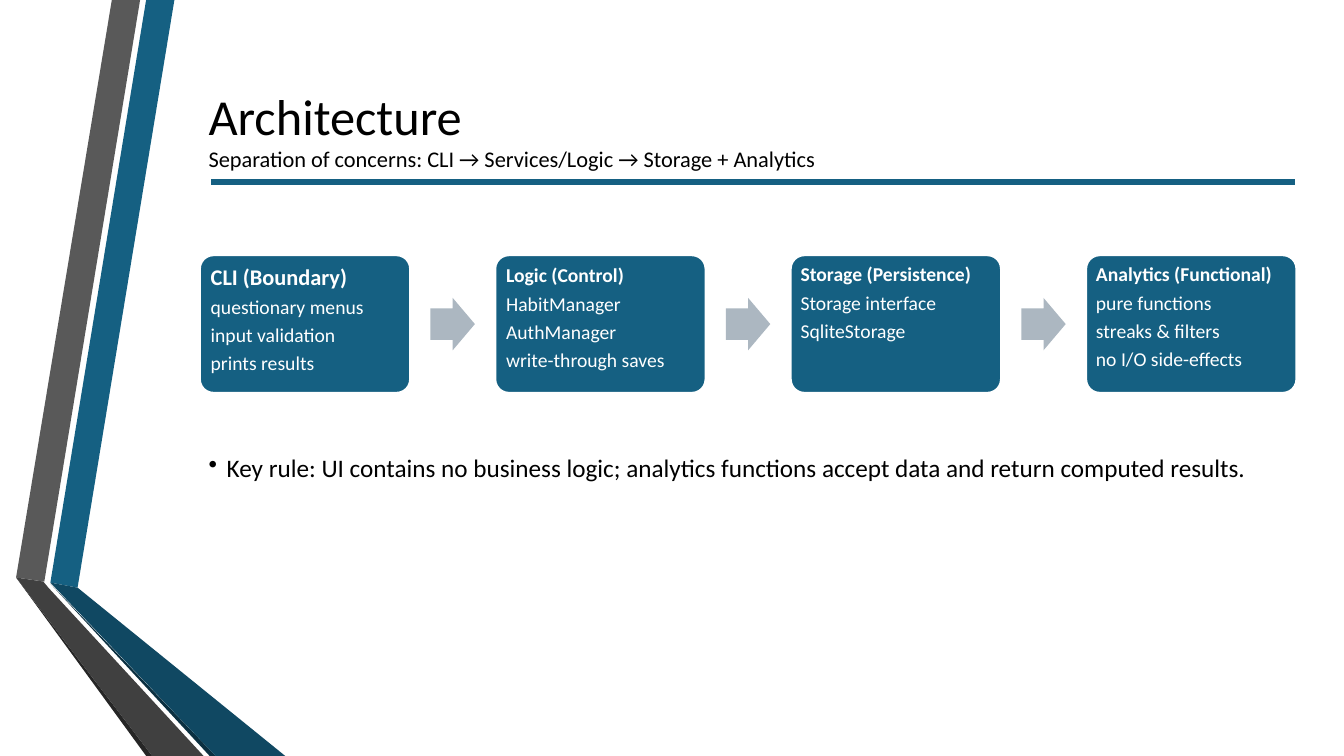
from lxml.etree import SubElement
from pptx import Presentation
from pptx.dml.color import RGBColor
from pptx.enum.shapes import MSO_SHAPE
from pptx.enum.text import MSO_ANCHOR, PP_ALIGN
from pptx.oxml.ns import qn
from pptx.util import Inches, Pt

FONT = "Calibri"
BLUE, WHITE, BLACK, ARROW_GREY = "156082", "FFFFFF", "000000", "ACB7C1"

RIBBONS = [
    (BLUE, [(0.5, 5.78), (0.77, 5.83), (1.73, 0), (1.45, 0)]),
    ("595959", [(1.39, 0), (1.11, 0), (0.16, 5.73), (0.44, 5.77)]),
    ("262626", [(0.16, 5.73), (1.45, 7.5), (1.51, 7.5)]),
    ("0B3041", [(0.5, 5.79), (2.08, 7.5), (2.14, 7.5)]),
    ("104862", [(0.5, 5.78), (2.14, 7.5), (2.83, 7.5), (0.77, 5.83)]),
    ("404040", [(2.02, 7.5), (0.48, 5.83), (0.43, 5.77), (0.16, 5.73), (1.51, 7.5)]),
]

# Heading, heading size, text inset, details
STAGES = [
    ("CLI (Boundary)", 16, 0.07,
     ["questionary menus", "input validation", "prints results"]),
    ("Logic (Control)", 14, 0.07,
     ["HabitManager", "AuthManager", "write-through saves"]),
    ("Storage (Persistence)", 14, 0.06,
     ["Storage interface", "SqliteStorage"]),
    ("Analytics (Functional)", 14, 0.06,
     ["pure functions", "streaks & filters", "no I/O side-effects"]),
]


def color(value):
    return RGBColor.from_string(value)


def paint(shape, fill, line=None):
    shape.shadow.inherit = False
    shape.fill.solid()
    shape.fill.fore_color.rgb = color(fill)
    if line:
        shape.line.color.rgb = color(line)
        shape.line.width = Pt(1.75)
    else:
        shape.line.fill.background()


def add_preset(page, kind, left, top, width, height, fill, line=None):
    shape = page.shapes.add_shape(
        kind, Inches(left), Inches(top), Inches(width), Inches(height))
    paint(shape, fill, line)
    return shape


def style(para, size, text_color, bold=False):
    para.font.name = FONT
    para.font.size = Pt(size)
    para.font.bold = bold
    para.font.color.rgb = color(text_color)


def add_line_of_text(page, text, size, left, top, width, height):
    box = page.shapes.add_textbox(
        Inches(left), Inches(top), Inches(width), Inches(height))
    box.text_frame.word_wrap = True
    para = box.text_frame.paragraphs[0]
    para.text = text
    style(para, size, BLACK)
    return box


def add_bullet(para, indent):
    properties = para._p.get_or_add_pPr()
    properties.set("marL", str(Inches(indent)))
    properties.set("indent", str(-Inches(indent)))
    SubElement(properties, qn("a:buChar")).set("char", "•")


def draw_ribbons(page):
    for fill, points in RIBBONS:
        corners = [(Inches(x), Inches(y)) for x, y in points]
        builder = page.shapes.build_freeform(*corners[0])
        builder.add_line_segments(corners[1:], close=True)
        paint(builder.convert_to_shape(), fill)


def draw_header(page, left, top, width):
    title = add_line_of_text(page, "Architecture", 36, left, top, width, 0.42)
    title.text_frame.vertical_anchor = MSO_ANCHOR.MIDDLE
    add_line_of_text(
        page, "Separation of concerns: CLI → Services/Logic → Storage + Analytics",
        16, left, top + 0.46, 6.93, 0.37)
    add_preset(page, MSO_SHAPE.RECTANGLE, left + 0.11, top + 0.83,
               width - 0.32, 0.09, BLUE, WHITE)


def draw_stage(page, stage, left, top, width, height):
    heading, heading_size, inset, details = stage
    card = add_preset(page, MSO_SHAPE.ROUNDED_RECTANGLE, left, top,
                      width, height, BLUE, WHITE)
    card.adjustments[0] = 0.1
    frame = card.text_frame
    frame.word_wrap = True
    frame.vertical_anchor = MSO_ANCHOR.TOP
    frame.margin_left = frame.margin_right = Inches(inset)
    frame.margin_top = frame.margin_bottom = Inches(inset)
    frame.text = "\n".join([heading, *details])
    for index, para in enumerate(frame.paragraphs):
        is_heading = index == 0
        style(para, heading_size if is_heading else 14, WHITE, bold=is_heading)
        para.alignment = PP_ALIGN.LEFT
        para.line_spacing = 0.9
        para.space_after = Pt(4.9)


def draw_flow(page, left, top, width, height):
    """Spread the stages evenly over the width, with an arrow in each gap."""
    card_width, arrow_width, arrow_height = 2.09, 0.44, 0.52
    pitch = (width - card_width) / (len(STAGES) - 1)
    gap = pitch - card_width
    for index, stage in enumerate(STAGES):
        x = left + index * pitch
        if index:
            arrow = add_preset(
                page, MSO_SHAPE.RIGHT_ARROW, x - (gap + arrow_width) / 2,
                top + (height - arrow_height) / 2, arrow_width, arrow_height,
                ARROW_GREY)
            arrow.adjustments[0] = 0.6
            arrow.adjustments[1] = 0.5
        draw_stage(page, stage, x, top, card_width, height)


def draw_key_rule(page, left, top, width, height):
    box = add_line_of_text(
        page, "Key rule: UI contains no business logic; analytics functions "
        "accept data and return computed results.", 18, left, top, width, height)
    box.text_frame.word_wrap = False
    add_bullet(box.text_frame.paragraphs[0], 0.18)


def main():
    deck = Presentation()
    deck.slide_width, deck.slide_height = Inches(13.33), Inches(7.5)
    page = deck.slides.add_slide(deck.slide_layouts[6])
    draw_ribbons(page)
    draw_header(page, 1.97, 0.93, 11.1)
    draw_flow(page, 1.98, 2.53, 10.88, 1.37)
    draw_key_rule(page, 1.97, 4.44, 10.62, 0.4)
    deck.save("out.pptx")


if __name__ == "__main__":
    main()
